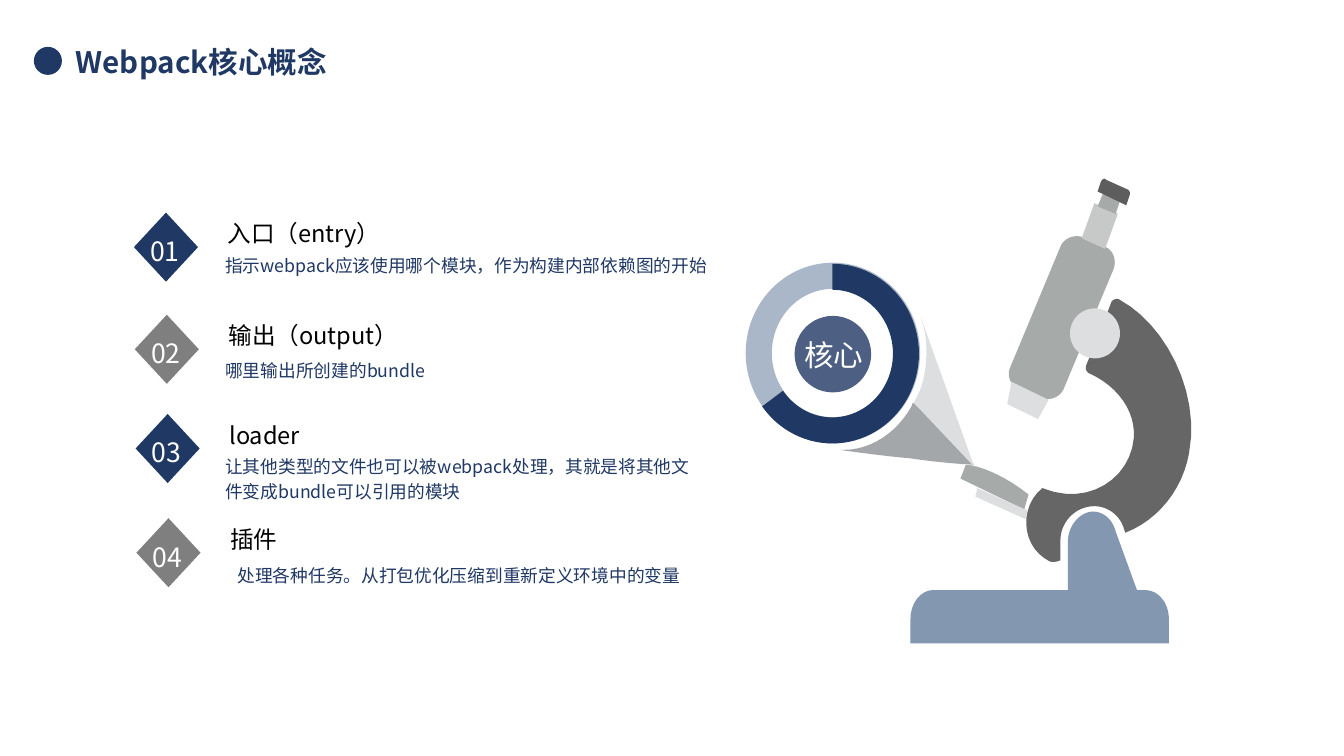
from collections import namedtuple

from lxml.etree import SubElement
from pptx import Presentation
from pptx.dml.color import RGBColor
from pptx.enum.shapes import MSO_SHAPE
from pptx.enum.text import MSO_AUTO_SIZE, PP_ALIGN
from pptx.oxml.ns import qn
from pptx.util import Cm, Pt

Box = namedtuple("Box", "left top width height")

FONT = "Noto Sans CJK SC"
NAVY, GRAY, WHITE, BLACK = "203864", "7F7F7F", "FFFFFF", "000000"
STEEL, SILVER, PALE = "8497B0", "A6AAA9", "DCDEE0"
CURVE_STEPS = 12

# Number, colour, top, heading, description, its top, its width, its alignment
CONCEPTS = [
    ("01", NAVY, 0, "入口（entry）",
     "指示webpack应该使用哪个模块，作为构建内部依赖图的开始", 0.89, 12.32, PP_ALIGN.LEFT),
    ("02", GRAY, 2.44, "输出（output）",
     "哪里输出所创建的bundle", 0.96, 11.89, PP_ALIGN.LEFT),
    ("03", NAVY, 4.81, "loader",
     "让其他类型的文件也可以被webpack处理，其就是将其他文件变成bundle可以引用的模块",
     0.9, 11.89, PP_ALIGN.LEFT),
    ("04", GRAY, 7.3, "插件",
     "处理各种任务。从打包优化压缩到重新定义环境中的变量", 1, 11.89, PP_ALIGN.CENTER),
]

# Outlines on a grid 428 units wide: pairs are line points, sixes are curves
GRID_WIDTH = 428
BASE = [(326, 313), (313, 314, 302, 328, 303, 344), (303, 387), (176, 387),
        (165, 387, 155, 399, 155, 414), (155, 437), (398, 437), (398, 414),
        (398, 399, 388, 387, 376, 387), (368, 387), (348, 332),
        (345, 320, 336, 313, 326, 313)]
ARM = [(352, 114), (351, 113, 349, 113, 348, 113), (346, 114, 345, 114, 344, 116),
       (328, 157), (320, 176), (320, 177, 320, 179, 320, 180),
       (321, 181, 322, 183, 323, 183), (350, 195, 367, 219, 365, 244),
       (362, 281, 323, 309, 279, 291), (258, 308, 259, 342, 281, 357),
       (283, 358, 284, 359, 286, 360), (290, 361, 293, 360, 296, 359),
       (296, 340), (296, 323, 310, 308, 328, 308), (340, 308, 351, 316, 355, 327),
       (357, 333), (388, 321, 411, 292, 417, 258), (428, 199, 393, 136, 352, 114)]
STAGE = [(266, 297), (257, 290, 248, 284, 238, 279), (228, 274, 218, 270, 207, 269),
         (202, 282), (262, 311)]
STAGE_CLIP = [(218, 291), (265, 312), (263, 320), (216, 299)]
TUBE = [(296, 64), (299, 56, 309, 52, 317, 55), (338, 64), (346, 67, 349, 77, 346, 85),
        (299, 198), (295, 206, 286, 209, 278, 206), (257, 197),
        (249, 194, 245, 185, 249, 177)]
OBJECTIVE = [(250, 191), (246, 212), (275, 226), (285, 208)]
EYEPIECE = [(328, 23), (316, 56), (338, 66), (350, 33)]
NECK = [(352, 21), (336, 14), (331, 26), (348, 33)]
CAP = [(338, 0), (336, 0, 335, 1, 334, 3), (331, 12), (358, 25), (361, 16),
       (362, 13, 361, 11, 359, 10), (339, 1)]
BEAM_SHADE = [(157, 211), (156, 214), (142, 239, 118, 255, 92, 255), (88, 255),
              (110, 258, 132, 261, 155, 263), (175, 266, 195, 268, 215, 269), (160, 211)]
BEAM_LIGHT = [(165, 131), (215, 271), (163, 216), (158, 211), (164, 199),
              (168, 188, 170, 175, 170, 163), (170, 153, 169, 143, 166, 135)]


def color(value):
    return RGBColor.from_string(value)


def paint(shape, fill):
    shape.shadow.inherit = False
    shape.fill.solid()
    shape.fill.fore_color.rgb = color(fill)
    shape.line.fill.background()
    return shape


def add_preset(slide, kind, box, fill):
    return paint(slide.shapes.add_shape(kind, *map(round, box)), fill)


def add_text(slide, box, text, size, fill, inset, bold=False, align=PP_ALIGN.LEFT):
    text_frame = slide.shapes.add_textbox(*map(round, box)).text_frame
    text_frame.text = text
    text_frame.word_wrap = True
    text_frame.auto_size = MSO_AUTO_SIZE.SHAPE_TO_FIT_TEXT
    text_frame.margin_left = text_frame.margin_right = Cm(0.36)
    text_frame.margin_top = text_frame.margin_bottom = Cm(inset)
    paragraph = text_frame.paragraphs[0]
    paragraph.alignment = align
    paragraph.line_spacing = 1.16
    run = paragraph.runs[0]
    run.font.size = Pt(size)
    run.font.bold = bold
    run.font.color.rgb = color(fill)
    run.font.name = FONT
    SubElement(run._r.get_or_add_rPr(), qn("a:ea"), typeface=FONT)


def trace(outline):
    """Turn line points and cubic curves into one list of points."""
    points = [outline[0]]
    for segment in outline[1:]:
        if len(segment) == 2:
            points.append(segment)
            continue
        x0, y0 = points[-1]
        x1, y1, x2, y2, x3, y3 = segment
        for step in range(1, CURVE_STEPS + 1):
            t = step / CURVE_STEPS
            a, b, c, d = (1 - t) ** 3, 3 * t * (1 - t) ** 2, 3 * t * t * (1 - t), t ** 3
            points.append((a * x0 + b * x1 + c * x2 + d * x3,
                           a * y0 + b * y1 + c * y2 + d * y3))
    return points


def add_title(slide, box):
    add_preset(slide, MSO_SHAPE.OVAL,
               Box(box.left, box.top + Cm(0.38), Cm(0.67), Cm(0.67)), NAVY)
    add_text(slide, Box(box.left + Cm(0.64), box.top, box.width - Cm(0.64), box.height),
             "Webpack核心概念", 20, NAVY, 0.18, bold=True)


def add_concepts(slide, box):
    for index, concept in enumerate(CONCEPTS):
        number, fill, offset, heading, description, gap, width, align = concept
        left = box.left + index * Cm(0.02)
        top = box.top + Cm(offset)
        add_preset(slide, MSO_SHAPE.DIAMOND, Box(left, top, Cm(1.53), Cm(1.65)), fill)
        add_text(slide, Box(left + Cm(0.03), top + Cm(0.28), Cm(1.93), Cm(1.14)),
                 number, 18, WHITE, 0.13)
        add_text(slide, Box(left + Cm(1.88), top, Cm(5.21), Cm(0.89)),
                 heading, 16, BLACK, 0.05)
        add_text(slide, Box(box.left + Cm(1.82), top + Cm(gap), Cm(width), Cm(0.61)),
                 description, 12, NAVY, 0.03, align=align)


def add_microscope(slide, box):
    unit = box.width / GRID_WIDTH

    def place(left, top, width, height):
        return Box(box.left + left * unit, box.top + top * unit, width * unit, height * unit)

    def draw(outline, fill):
        points = [(round(box.left + x * unit), round(box.top + y * unit))
                  for x, y in trace(outline)]
        builder = slide.shapes.build_freeform(*points[0])
        builder.add_line_segments(points[1:], close=True)
        paint(builder.convert_to_shape(), fill)

    # Magnified ring
    ring = add_preset(slide, MSO_SHAPE.DONUT, place(0, 79, 164, 170), STEEL)
    ring.adjustments[0] = 0.15
    ring_color = ring._element.spPr.find(".//" + qn("a:srgbClr"))
    SubElement(ring_color, qn("a:alpha"), val="69000")
    arc = add_preset(slide, MSO_SHAPE.BLOCK_ARC, place(0, 80, 163, 169), NAVY)
    # Angles count 0.6 per degree: from 270 clockwise to 143
    for index, value in enumerate((270 * 0.6, 143 * 0.6, 0.15)):
        arc.adjustments[index] = value
    add_preset(slide, MSO_SHAPE.OVAL, place(46, 129, 72, 72), "4D6083")

    # Stand and tube
    for outline, fill in ((BASE, STEEL), (ARM, "666666"), (STAGE, SILVER),
                          (STAGE_CLIP, PALE), (TUBE, SILVER)):
        draw(outline, fill)
    add_preset(slide, MSO_SHAPE.OVAL, place(305, 122, 47, 47), PALE)

    # Lenses and light beam
    for outline, fill in ((OBJECTIVE, PALE), (EYEPIECE, "C6C9C8"), (NECK, SILVER),
                          (CAP, "5D5D5D"), (BEAM_SHADE, "A4A7AA"), (BEAM_LIGHT, PALE)):
        draw(outline, fill)
    add_text(slide, place(41, 136, 175, 51), "核心", 20, WHITE, 0.18)


def main():
    presentation = Presentation()
    presentation.slide_width = Cm(32.1)
    presentation.slide_height = Cm(18.06)
    slide = presentation.slides.add_slide(presentation.slide_layouts[6])
    add_title(slide, Box(Cm(0.81), Cm(0.74), Cm(9.1), Cm(1.35)))
    add_microscope(slide, Box(Cm(17.81), Cm(4.27), Cm(10.87), Cm(11.1)))
    add_concepts(slide, Box(Cm(3.2), Cm(5.08), Cm(14.2), Cm(9)))
    presentation.save("out.pptx")


if __name__ == "__main__":
    main()
